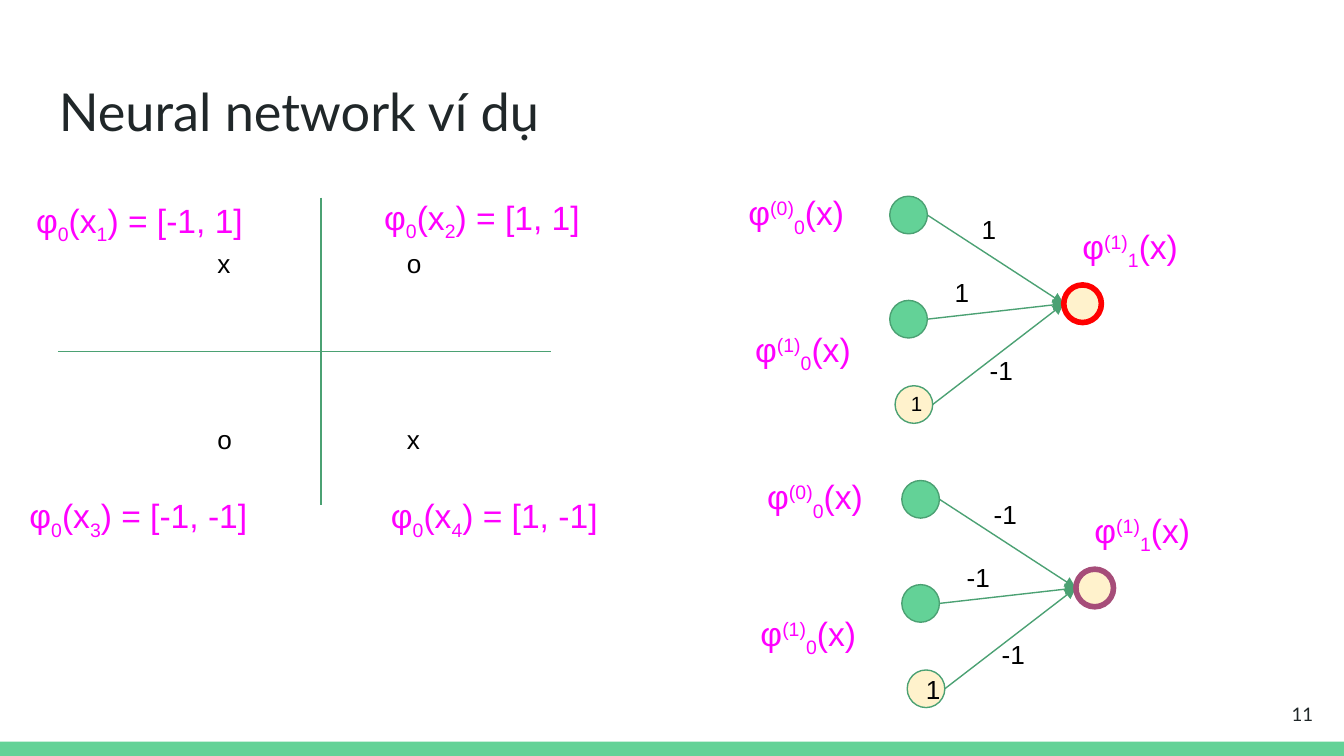
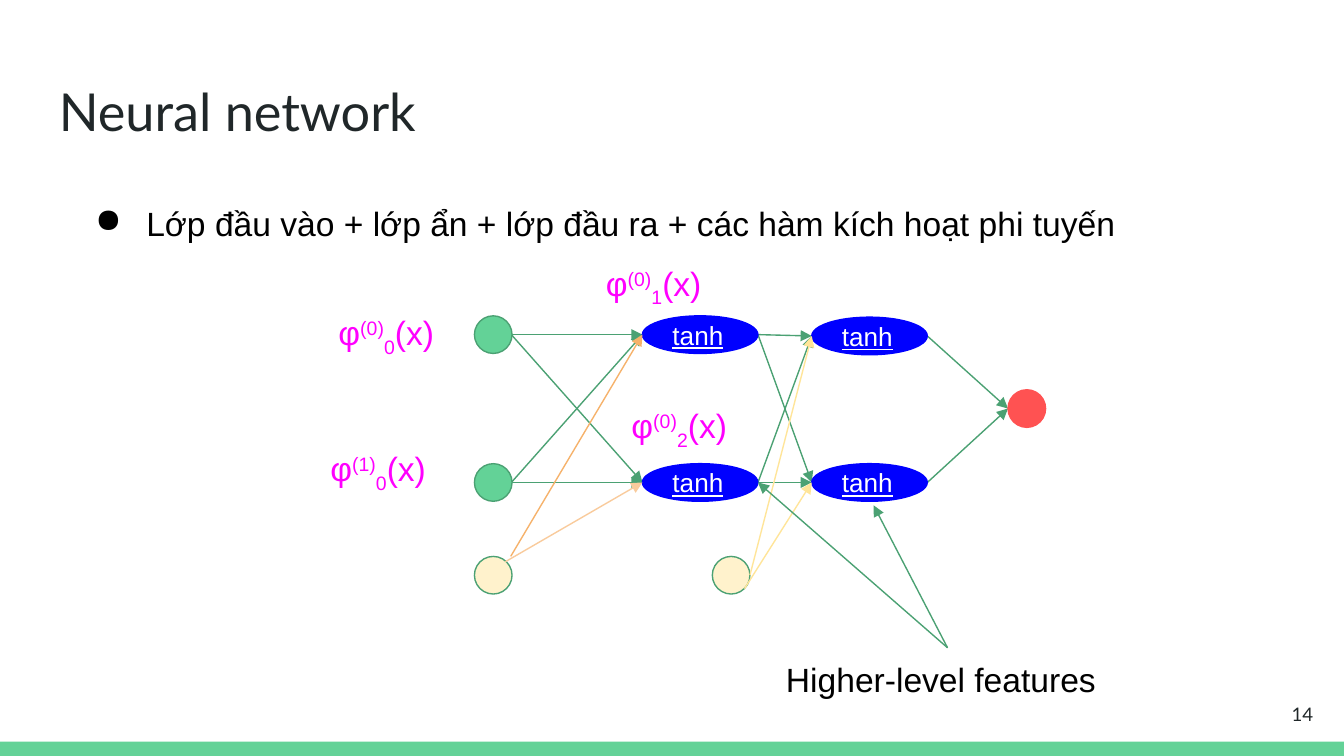
from itertools import product

from lxml.etree import SubElement
from pptx import Presentation
from pptx.dml.color import RGBColor as Rgb
from pptx.enum.shapes import MSO_CONNECTOR as Conn, MSO_SHAPE as Kind
from pptx.enum.text import MSO_ANCHOR as Anchor, PP_ALIGN as Align
from pptx.oxml.ns import qn
from pptx.util import Inches, Pt

# The grid: 100 columns by 56.25 rows of square cells
CELL = Inches(0.1)
COLS, ROWS = 100, 56.25
DOT = 2.8
HALF = DOT / 2
OVAL = 8.6

INK = {
    "mint": "63D297", "green": "4BA173", "dark": "202729", "black": "000000",
    "white": "FFFFFF", "pink": "FF00FF", "cream": "FFF2CC", "red": "FF0000",
    "plum": "A64D79", "blue": "0000FF", "coral": "FF5252",
    "amber": "F6B26B", "peach": "F9CB9C", "straw": "FFE599",
}
BASE = {"^": "30000", "_": "-25000"}


def grid(*cells):
    return [int(n * CELL) for n in cells]


def rgb(ink):
    return Rgb.from_string(INK[ink])


def style(frame, size, ink, font="Arial", line=False):
    for run in frame.paragraphs[0].runs:
        run.font.size = Pt(size)
        run.font.name = font
        run.font.color.rgb = rgb(ink)
        if line:
            run.font.underline = True


def pad(frame, anchor):
    frame.word_wrap = True
    frame.vertical_anchor = anchor
    frame.margin_left = frame.margin_right = CELL
    frame.margin_top = frame.margin_bottom = CELL


def label(slide, text, x, y, w, h=3.7, size=14, ink="black", font="Arial",
          anchor=Anchor.TOP):
    box = slide.shapes.add_textbox(*grid(x, y, w, h))
    frame = box.text_frame
    pad(frame, anchor)
    frame.text = text
    style(frame, size, ink, font)
    return box


def phi(slide, text, x, y, w=13):
    """Write a formula; parts are split by |, ^ raises and _ lowers one."""
    box = slide.shapes.add_textbox(*grid(x, y, w, 4.3))
    frame = box.text_frame
    pad(frame, Anchor.MIDDLE)
    for part in text.split("|"):
        run = frame.paragraphs[0].add_run()
        run.text = part.lstrip("^_")
        if part[0] in BASE:
            run._r.get_or_add_rPr().set("baseline", BASE[part[0]])
    style(frame, 18, "pink")


def wire(slide, start, end, ink="green", head=True, box=None):
    """Draw a line; with a box given, it starts at the middle of its top."""
    line = slide.shapes.add_connector(Conn.STRAIGHT, *grid(*start, *end))
    if box is not None:
        line.begin_connect(box, 0)
    line.line.color.rgb = rgb(ink)
    line.line.width = Pt(0.75)
    props = line._element.spPr
    if head:
        SubElement(props.find(qn("a:ln")), qn("a:tailEnd"), type="triangle")
    SubElement(props, qn("a:effectLst"))


def node(slide, x, y, fill="mint", edge="green", w=DOT, width=0.75,
         text="", ink="black", line=False):
    dot = slide.shapes.add_shape(Kind.OVAL, *grid(x, y, w, DOT))
    dot.shadow.inherit = False
    dot.fill.solid()
    dot.fill.fore_color.rgb = rgb(fill)
    dot.line.color.rgb = rgb(edge)
    dot.line.width = Pt(width)
    if text:
        frame = dot.text_frame
        pad(frame, Anchor.MIDDLE)
        frame.text = text
        frame.paragraphs[0].alignment = Align.LEFT
        style(frame, 14, ink, line=line)


def base(deck, title, page):
    """Start a slide with its band, title and page number."""
    slide = deck.slides.add_slide(deck.slide_layouts[6])
    band = slide.shapes.add_shape(Kind.RECTANGLE,
                                  *grid(0, ROWS - 1.07, COLS, 1.07))
    band.shadow.inherit = False
    band.fill.solid()
    band.fill.fore_color.rgb = rgb("mint")
    band.line.fill.background()
    label(slide, title, 3.4, 4.9, 93.2, 6.3, 28, "dark", "Lato")
    num = label(slide, page, 92.7, 51, 6, 4.3, 10, "dark", "Lato",
                Anchor.MIDDLE)
    num.text_frame.paragraphs[0].alignment = Align.RIGHT
    return slide


def plane(slide, x, y, w, h):
    """Draw the axes with one mark and one formula per quarter."""
    mid = x + 19.6
    wire(slide, (mid, y), (mid, y + h), head=False)
    wire(slide, (x, y + h / 2), (x + w, y + h / 2), head=False)
    spots = product((2.7, 15.8), (10.9, 25))
    for mark, (top, left) in zip("xoox", spots):
        label(slide, mark, x + left, y + top, 4)
    points = [("[-1, 1]", -2.6, -0.3), ("[1, 1]", 23.3, -0.5),
              ("[-1, -1]", -3.1, 21.7), ("[1, -1]", 23.8, 21.7)]
    for i, (point, left, top) in enumerate(points, 1):
        phi(slide, f"φ|_0|(x|_{i}|) = {point}", x + left, y + top, 20.5)


def unit(slide, x, y, edge, loads, lefts, inner):
    """Draw one neuron with two inputs and a bias, from its top left."""
    goal = (x + 12.95, y + 8)
    rows = [(0, 0), (0, 7.75), (0.4, 14.1)]
    for left, top in rows:
        wire(slide, (x + left + DOT, y + top + HALF), goal)
    for left, top in rows[:2]:
        node(slide, x + left, y + top)
    bias = rows[2]
    node(slide, x + bias[0], y + bias[1], "cream", text="1" if inner else "")
    if not inner:
        label(slide, "1", x + 0.6, y + 13.6, 3.3, size=11)
    node(slide, goal[0], goal[1] - HALF, "cream", edge, width=3)

    # Formulas and weights
    for i, (left, top) in enumerate(zip(lefts, (-0.75, 9.4))):
        phi(slide, f"φ|^({i})|_0|(x)", x + left, y + top, 11.9)
    phi(slide, "φ|^(1)|_1|(x)", x + 13.35, y + 1.75)
    spots = [(5.85, 0.3), (3.85, 5), (6.45, 10.75)]
    for load, (left, top) in zip(loads, spots):
        label(slide, load, x + left, y + top, 6)


def point(slide, text, x, y, w, h):
    """Write one bullet line."""
    box = slide.shapes.add_textbox(*grid(x, y, w, h))
    frame = box.text_frame
    pad(frame, Anchor.TOP)
    frame.text = text
    props = frame.paragraphs[0]._p.get_or_add_pPr()
    props.set("marL", str(Inches(0.5)))
    props.set("indent", str(-Inches(0.38)))
    tint = SubElement(props, qn("a:buClr"))
    SubElement(tint, qn("a:srgbClr"), val=INK["black"])
    SubElement(props, qn("a:buChar"), char="●")
    style(frame, 18, "black")


def layers(slide, x, y):
    """Draw inputs, two tanh layers and the output, from the top left."""
    one, two, out = x + 12.5, x + 25.1, x + 39.7
    rows, high = (y, y + 11), (y + 0.1, y + 11)
    low = y + 17.9

    def ports(left, tops):
        return [(left, top + HALF) for top in tops]

    # Wires between the layers
    end = (out, y + 5.5 + HALF)
    pairs = [*product(ports(x + 2.75, rows), ports(one, rows)),
             *product(ports(one + OVAL, rows), ports(two, high)),
             *product(ports(two + OVAL, high), [end])]
    for start, stop in pairs:
        wire(slide, start, stop)

    # Nodes
    for top in rows:
        node(slide, x, top)
    spots = [*product([one], rows), *product([two], high)]
    for left, top in spots:
        node(slide, left, top, "blue", "blue", OVAL,
             text="tanh", ink="white", line=True)
    node(slide, out, end[1] - HALF, "coral", "coral")

    # Biases and their wires
    for left in (0, 17.7):
        node(slide, x + left, low, "cream")
    links = [(2.7, 0, "amber"), (2.3, 0.4, "peach"),
             (20.5, 1.4, "straw"), (20.1, 2.4, "straw")]
    goals = ports(one, rows) + ports(two, high)
    for (left, top, ink), goal in zip(links, goals):
        wire(slide, (x + left, low + top), goal, ink)

    # Formulas
    names = [(0, 0, -11.1, -0.7), (1, 0, -11.7, 9.4),
             (0, 1, 8.8, -4.4), (0, 2, 10.7, 6.2)]
    for up, down, left, top in names:
        phi(slide, f"φ|^({up})|_{down}|(x)", x + left, y + top, 12)

    # Note on the deeper layers
    note = label(slide, "Higher-level features", x + 22.2, y + 24.7, 26, 4.7,
                 18, anchor=Anchor.MIDDLE)
    peak = (x + 35.2, y + 24.7)
    for goal in [(x + 29.7, y + 14.1), (one + OVAL, y + 11 + HALF)]:
        wire(slide, peak, goal, box=note)


def main():
    deck = Presentation()
    deck.slide_width, deck.slide_height = grid(COLS, ROWS)

    slide = base(deck, "Neural network ví dụ", "11")
    plane(slide, 4.3, 14.7, 36.7, 22.9)
    unit(slide, 66.2, 14.6, "red", ("1", "1", "-1"), (-11.5, -11), False)
    unit(slide, 67.1, 35.75, "plum", ("-1", "-1", "-1"), (-11, -11.5), True)

    slide = base(deck, "Neural network", "14")
    point(slide, "Lớp đầu vào + lớp ẩn + lớp đầu ra + các hàm kích hoạt "
          "phi tuyến", 4.9, 14.1, 84.9, 5.6)
    layers(slide, 35.3, 23.5)

    deck.save("out.pptx")


if __name__ == "__main__":
    main()
